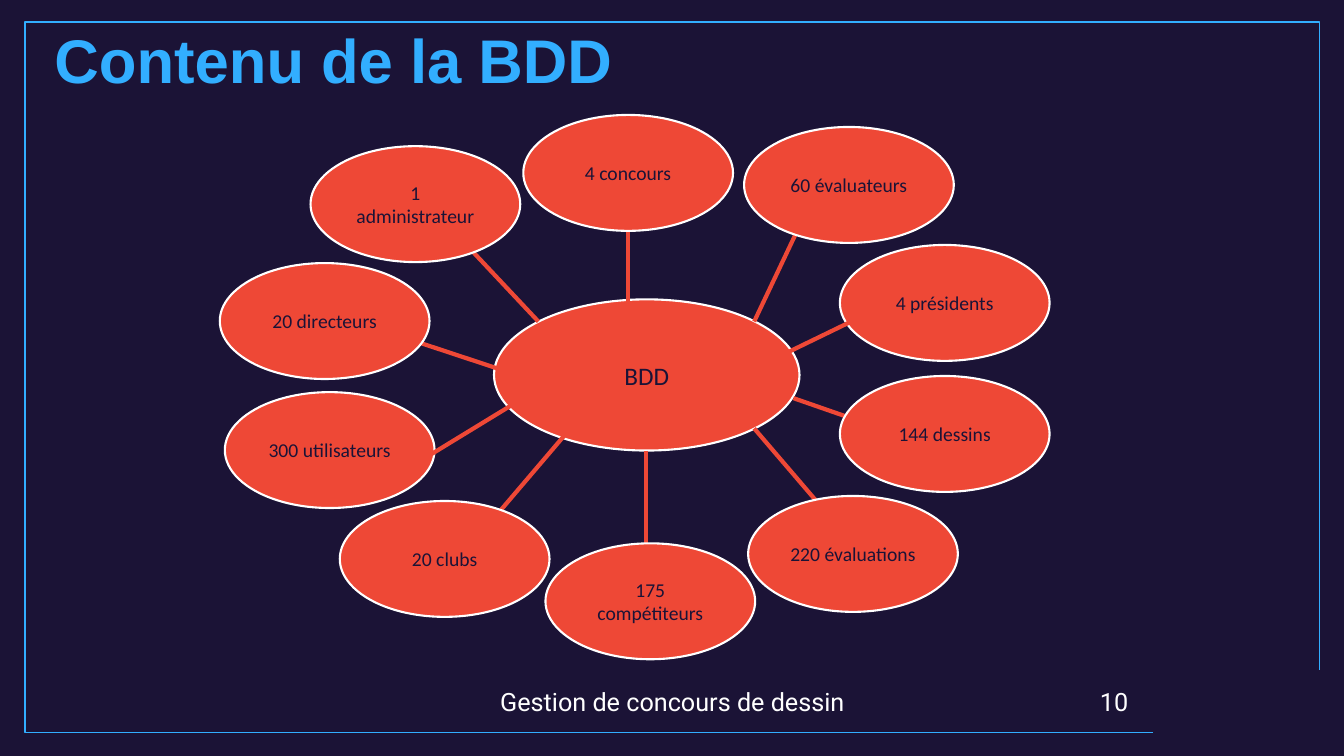
from dataclasses import dataclass

from lxml import etree
from pptx import Presentation
from pptx.dml.color import RGBColor
from pptx.enum.shapes import MSO_CONNECTOR, MSO_SHAPE
from pptx.enum.text import MSO_ANCHOR, PP_ALIGN
from pptx.oxml.ns import qn
from pptx.util import Inches, Pt

STRAIGHT = MSO_CONNECTOR.STRAIGHT
OVAL, RECTANGLE = MSO_SHAPE.OVAL, MSO_SHAPE.RECTANGLE
MIDDLE = MSO_ANCHOR.MIDDLE
LEFT, CENTER = PP_ALIGN.LEFT, PP_ALIGN.CENTER
TITLE_ONLY = 5


@dataclass(frozen=True)
class Theme:
    night: str = "1B1336"
    sky: str = "32AEFF"
    coral: str = "EE4836"
    white: str = "FFFFFF"
    title_font: str = "Arial"
    node_font: str = "Calibri"
    footer_font: str = "Roboto"
    title_size: int = 44
    hub_size: int = 18
    node_size: int = 14
    footer_size: int = 18
    frame_width: float = 1
    outline_width: float = 1.5
    link_width: float = 3


THEME = Theme()

TITLE = ("Contenu de la BDD", (0.44, 0.25, 11.77, 0.76))
HUB = ("BDD", (4.9, 2.97, 3.03, 1.5))
FOOTERS = [
    ("Gestion de concours de dessin", (4.42, 6.76, 4.5, 0.4)),
    ("10", (9.42, 6.76, 3.26, 0.4)),
]
FRAME = (0.25, 0.22, 12.84, 7.05)
CORNER_GAP = (11.44, 6.65, 1.77, 0.72)

NODE_SIZE = (2.08, 1.15)
NODES = [
    ("300 utilisateurs", (2.23, 3.89)),
    ("4 concours", (5.19, 1.14)),
    ("20 clubs", (3.37, 4.97)),
    ("175 compétiteurs", (5.41, 5.39)),
    ("220 évaluations", (7.42, 4.92)),
    ("144 dessins", (8.33, 3.73)),
    ("4 présidents", (8.33, 2.43)),
    ("60 évaluateurs", (7.38, 1.26)),
    ("1 administrateur", (3.08, 1.45)),
    ("20 directeurs", (2.18, 2.61)),
]
LINKS_BEHIND = [
    ((7.48, 3.19), (8.03, 2.03)),
    ((6.23, 3.05), (6.23, 1.99)),
    ((5.34, 3.19), (4.57, 2.37)),
    ((7.87, 3.95), (8.53, 4.18)),
    ((7.48, 4.25), (8.25, 5.15)),
    ((6.41, 4.47), (6.41, 5.55)),
    ((5.7, 4.2), (4.84, 5.21)),
    ((3.86, 3.3), (5.16, 3.73)),
]
LINKS_IN_FRONT = [
    ((7.68, 3.56), (8.73, 3.05)),
    ((5.27, 3.9), (4.01, 4.67)),
]


def inches(values):
    return [Inches(value) for value in values]


def color(code):
    return RGBColor.from_string(code)


def write(holder, text, *, font, size, ink, bold=False, align=CENTER,
          anchor=None, spacing=None):
    frame = holder.text_frame
    frame.word_wrap = True
    if anchor is not None:
        frame.vertical_anchor = anchor
    paragraph = frame.paragraphs[0]
    paragraph.alignment = align
    paragraph.line_spacing = spacing
    run = paragraph.add_run()
    run.text = text
    run.font.name = font
    run.font.size = Pt(size)
    run.font.bold = bold
    run.font.color.rgb = color(ink)


def add_outlined(slide, preset, box, *, fill, line, width):
    outlined = slide.shapes.add_shape(preset, *inches(box))
    outlined.shadow.inherit = False
    if fill:
        outlined.fill.solid()
        outlined.fill.fore_color.rgb = color(fill)
    else:
        outlined.fill.background()
    outlined.line.color.rgb = color(line)
    outlined.line.width = Pt(width)
    return outlined


def add_bubble(slide, text, box, size):
    bubble = add_outlined(slide, OVAL, box, fill=THEME.coral,
                          line=THEME.white, width=THEME.outline_width)
    write(bubble, text, font=THEME.node_font, size=size, ink=THEME.night,
          anchor=MIDDLE)


def add_links(slide, links):
    for start, end in links:
        link = slide.shapes.add_connector(STRAIGHT, *inches(start + end))
        link.line.color.rgb = color(THEME.coral)
        link.line.width = Pt(THEME.link_width)
        etree.SubElement(link.line._get_or_add_ln(), qn("a:tailEnd"),
                         type="triangle")
        etree.SubElement(link._element.spPr, qn("a:effectLst"))


def main():
    deck = Presentation()
    deck.slide_width, deck.slide_height = inches((13.33, 7.5))
    slide = deck.slides.add_slide(deck.slide_layouts[TITLE_ONLY])
    slide.background.fill.solid()
    slide.background.fill.fore_color.rgb = color(THEME.night)

    add_outlined(slide, RECTANGLE, FRAME, fill=None, line=THEME.sky,
                 width=THEME.frame_width)
    add_outlined(slide, RECTANGLE, CORNER_GAP, fill=THEME.night,
                 line=THEME.night, width=THEME.frame_width)

    heading, heading_box = TITLE
    title = slide.shapes.title
    title.left, title.top, title.width, title.height = inches(heading_box)
    write(title, heading, font=THEME.title_font, size=THEME.title_size,
          ink=THEME.sky, bold=True, align=LEFT, anchor=MIDDLE, spacing=0.9)

    for text, box in FOOTERS:
        write(slide.shapes.add_textbox(*inches(box)), text,
              font=THEME.footer_font, size=THEME.footer_size, ink=THEME.white)

    add_bubble(slide, *HUB, THEME.hub_size)
    add_links(slide, LINKS_BEHIND)
    for text, corner in NODES:
        add_bubble(slide, text, corner + NODE_SIZE, THEME.node_size)
    add_links(slide, LINKS_IN_FRONT)

    deck.save("out.pptx")


if __name__ == "__main__":
    main()
